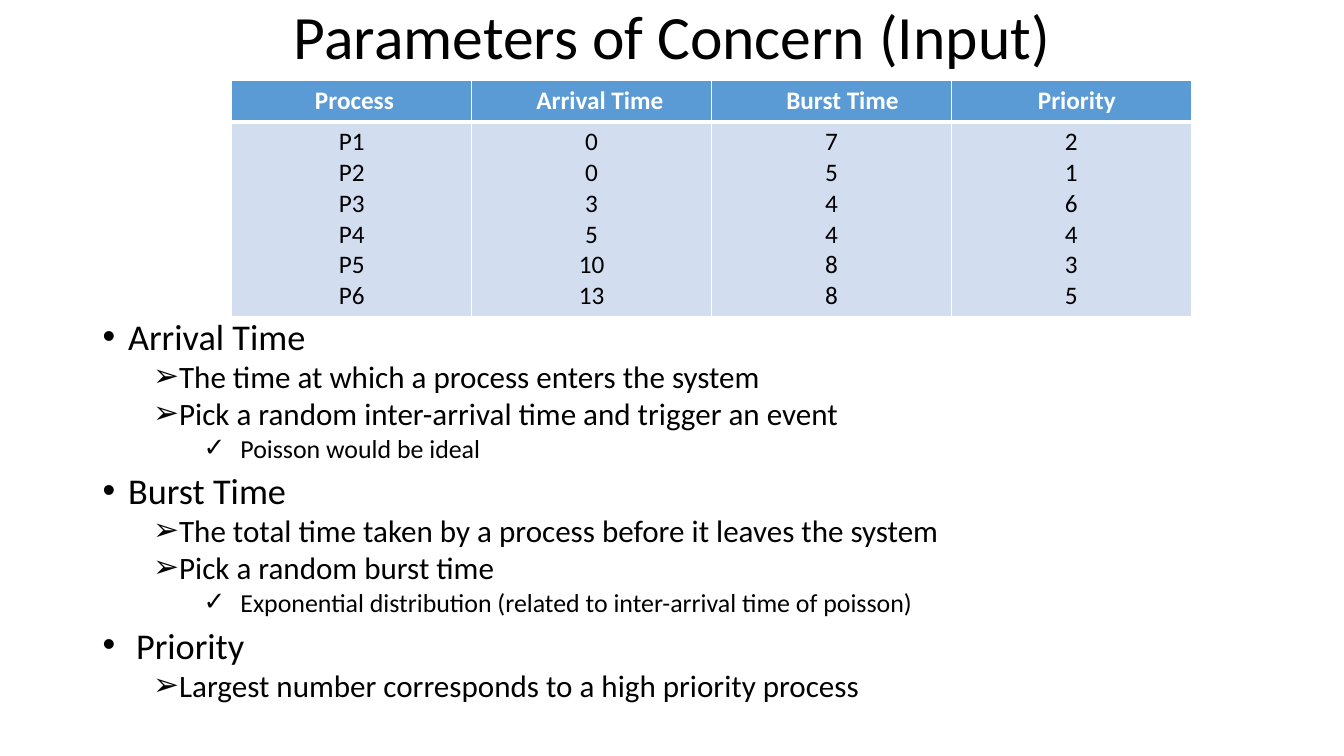
import pptx
import pptx.dml.color
import pptx.enum.text
import pptx.oxml
import pptx.oxml.ns
import pptx.util
from pptx.util import Cm

ALIGN = pptx.enum.text.PP_ALIGN
ANCHOR = pptx.enum.text.MSO_ANCHOR
BULLETS = {
    0: dict(char="•", left=0.64, size=25.9, before=10),
    1: dict(char="➢", left=1.91, size=22.2, before=5),
    2: dict(char="✓", left=3.47, hang=0.93, size=18.5, before=5),
}
HEADINGS = [("Process", 1), ("Arrival Time", 3), ("Burst Time", 4), ("Priority", 2)]
PROCESSES = [
    ("P1", 0, 7, 2),
    ("P2", 0, 5, 1),
    ("P3", 3, 4, 6),
    ("P4", 5, 4, 4),
    ("P5", 10, 8, 3),
    ("P6", 13, 8, 5),
]
NOTES = [
    (0, "Arrival Time", {}),
    (1, "The time at which a process enters the system", {}),
    (1, "Pick a random inter-arrival time and trigger an event", {}),
    (2, "Poisson would be ideal", {}),
    (0, "Burst Time", {}),
    (1, "The total time taken by a process before it leaves the system", {}),
    (1, "Pick a random burst time", {}),
    (2, "Exponential distribution (related to inter-arrival time of poisson)", {}),
    (0, "Priority", dict(left=0.84, hang=0.84)),
    (1, "Largest number corresponds to a high priority process", {}),
]


def rgb(value):
    return pptx.dml.color.RGBColor.from_string(value)


def element(xml):
    ns = pptx.oxml.ns.nsdecls("a")
    return pptx.oxml.parse_xml(xml.replace(" ", f" {ns} ", 1))


def write(p, text, size=18, color="000000", bold=False, align=ALIGN.LEFT,
          spacing=None, before=0):
    p.alignment = align
    p.line_spacing = spacing
    p.space_before = pptx.util.Pt(before)
    r = p.add_run()
    r.text = str(text)
    r.font.name = "Calibri"
    r.font.size = pptx.util.Pt(size)
    r.font.bold = bold
    r.font.color.rgb = rgb(color)


def paragraphs(tf, count):
    return [tf.paragraphs[0]] + [tf.add_paragraph() for _ in range(count - 1)]


class Deck:
    header_fill = "5B9BD5"
    body_fill = "D2DEEF"
    white = "FFFFFF"

    def __init__(self):
        self.prs = pptx.Presentation()
        self.prs.slide_width = Cm(33.87)
        self.prs.slide_height = Cm(19.05)
        self.s = self.prs.slides.add_slide(self.prs.slide_layouts[6])

    def box(self, left, top, width, height, anchor=ANCHOR.TOP):
        sp = self.s.shapes.add_textbox(Cm(left), Cm(top), Cm(width), Cm(height))
        tf = sp.text_frame
        tf.word_wrap = True
        tf.vertical_anchor = anchor
        tf.margin_top = tf.margin_bottom = 0
        return tf

    def title(self, text):
        tf = self.box(2.34, 0, 29.21, 1.98, ANCHOR.MIDDLE)
        write(tf.paragraphs[0], text, size=44, align=ALIGN.CENTER, spacing=0.9)

    def bullets(self, notes):
        tf = self.box(2.34, 8.13, 29.21, 10.36)
        for p, (level, text, changes) in zip(paragraphs(tf, len(notes)), notes):
            style = {"hang": 0.64, **BULLETS[level], **changes}
            write(p, text, size=style["size"], spacing=0.8, before=style["before"])
            p.level = level
            pPr = p._p.get_or_add_pPr()
            pPr.set("marL", str(Cm(style["left"])))
            pPr.set("indent", str(-Cm(style["hang"])))
            pPr.append(element('<a:buFont typeface="Arial"/>'))
            pPr.append(element(f'<a:buChar char="{style["char"]}"/>'))

    def cell(self, cell, lines, fill, bottom=1, shift=0, **style):
        cell.fill.solid()
        cell.fill.fore_color.rgb = rgb(fill)
        cell.margin_left = Cm(0.25 + 0.14 * shift)
        cell.margin_right = Cm(0.25)
        for p, text in zip(paragraphs(cell.text_frame, len(lines)), lines):
            write(p, text, align=ALIGN.CENTER, **style)
        tcPr = cell._tc.get_or_add_tcPr()
        for i, (side, width) in enumerate(zip("LRTB", (1, 1, 1, bottom))):
            tcPr.insert(i, element(
                f'<a:ln{side} w="{pptx.util.Pt(width)}"><a:solidFill>'
                f'<a:srgbClr val="{self.white}"/></a:solidFill></a:ln{side}>'))

    def table(self, headings, rows):
        sp = self.s.shapes.add_table(2, len(headings), Cm(5.84), Cm(2.03),
                                     Cm(24.18), Cm(5.94))
        tbl = sp.table
        tbl.rows[0].height = Cm(1.04)
        tbl.rows[1].height = Cm(4.9)
        for i, ((heading, shift), values) in enumerate(zip(headings, zip(*rows))):
            self.cell(tbl.cell(0, i), [heading], self.header_fill, bottom=3,
                      shift=shift, color=self.white, bold=True)
            self.cell(tbl.cell(1, i), values, self.body_fill)


def main():
    deck = Deck()
    deck.title("Parameters of Concern (Input)")
    deck.bullets(NOTES)
    deck.table(HEADINGS, PROCESSES)
    deck.prs.save("out.pptx")


if __name__ == "__main__":
    main()
